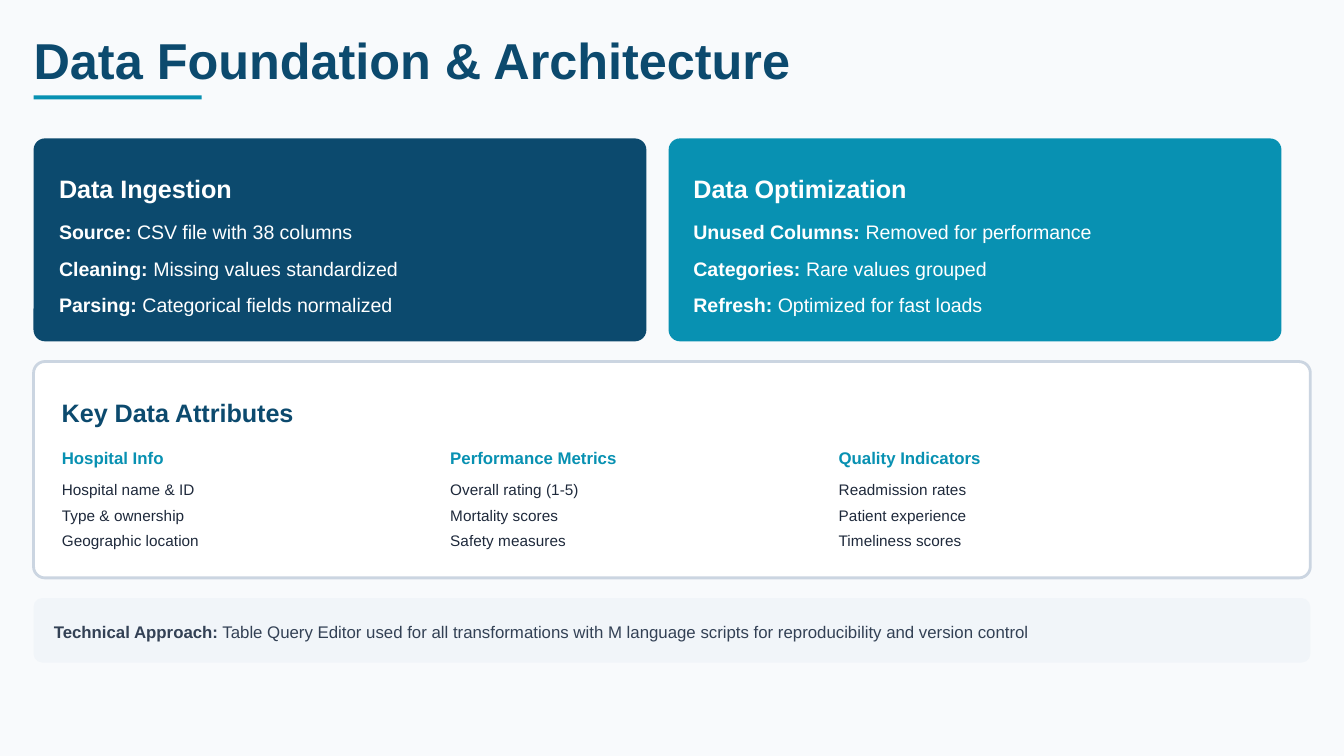
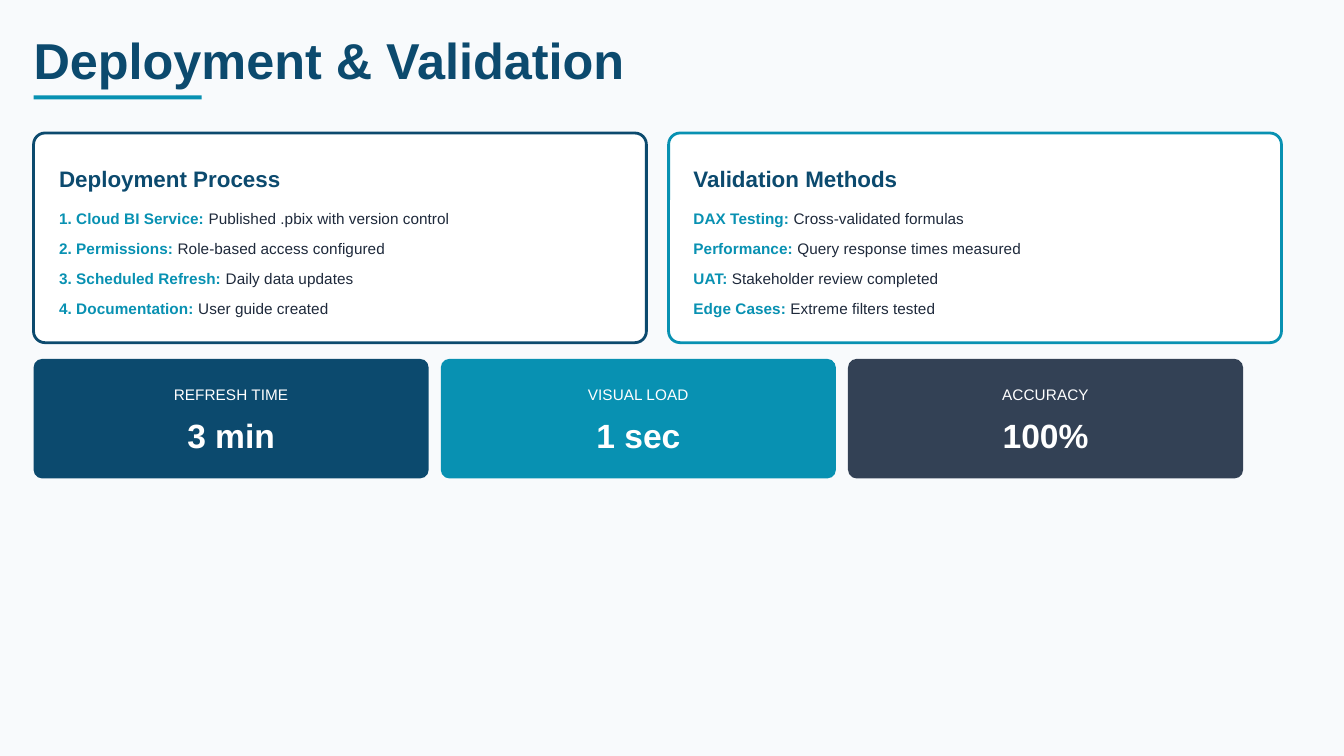
from pptx import Presentation, util as u
from pptx.dml.color import RGBColor
from pptx.enum import shapes, text

# Shared style: 200 px to the inch
SCALE = 914400 // 200
FONT = "Arial"
PAPER = RGBColor(0xF8, 0xFA, 0xFC)
WHITE = RGBColor(0xFF, 0xFF, 0xFF)
NAVY = RGBColor(0x0C, 0x4A, 0x6E)
TEAL = RGBColor(0x08, 0x91, 0xB2)
SLATE = RGBColor(0x33, 0x41, 0x55)
INK = RGBColor(0x1E, 0x29, 0x3B)
MIST = RGBColor(0xF1, 0xF5, 0xF9)
BORDER = RGBColor(0xCB, 0xD5, 0xE1)

MARGIN = 50
CARD_WIDTH, CARD_STEP, CARD_PADDING = 912, 945, 38
SMALL = 8.25


def px(value):
    return u.Emu(value * SCALE)


def add_run(paragraph, content, *, size, color, bold=False):
    run = paragraph.add_run()
    run.text = content
    run.font.name = FONT
    run.font.size = u.Pt(size)
    run.font.bold = bold
    run.font.color.rgb = color


class Deck:
    def __init__(self):
        self.presentation = Presentation()
        self.presentation.slide_width = px(2000)
        self.presentation.slide_height = px(1125)
        self.slide = None

    def new_slide(self, title, title_width):
        self.slide = self.presentation.slides.add_slide(self.presentation.slide_layouts[6])
        self.slide.background.fill.solid()
        self.slide.background.fill.fore_color.rgb = PAPER
        self.label(title, MARGIN, 50, title_width, 84, size=27, color=NAVY, bold=True, leading=30)
        self.box(MARGIN, 142, 250, 6, TEAL)

    def box(self, left, top, width, height, fill, radius=0, line=None):
        kind = shapes.MSO_SHAPE.ROUNDED_RECTANGLE if radius else shapes.MSO_SHAPE.RECTANGLE
        shape = self.slide.shapes.add_shape(kind, px(left), px(top), px(width), px(height))
        if radius:
            shape.adjustments[0] = radius / min(width, height)
        shape.shadow.inherit = False
        shape.fill.solid()
        shape.fill.fore_color.rgb = fill
        if line is None:
            shape.line.fill.background()
        else:
            shape.line.color.rgb = line
            shape.line.width = u.Pt(1.5)

    def label(self, content, left, top, width, height, *, size, color, bold=False,
              lead="", lead_color=None, leading=None, align=text.PP_ALIGN.LEFT):
        """Place one line of text, optionally opened by a bold lead."""
        frame = self.slide.shapes.add_textbox(px(left), px(top), px(width), px(height)).text_frame
        frame.word_wrap = True
        frame.margin_left = frame.margin_top = frame.margin_right = frame.margin_bottom = 0
        paragraph = frame.paragraphs[0]
        paragraph.alignment = align
        paragraph.line_spacing = u.Pt(leading or size * 1.4)
        if lead:
            add_run(paragraph, lead, size=size, color=lead_color or color, bold=True)
            content = " " + content
        add_run(paragraph, content, size=size, color=color, bold=bold)

    def card(self, column, top, height, heading, rows, *, fill, line=None, heading_size,
             heading_color, rows_offset, row_step, size, color, lead_color):
        """Draw a card with a heading and rows of (lead, text)."""
        left = MARGIN + column * CARD_STEP
        self.box(left, top, CARD_WIDTH, height, fill, radius=17, line=line)
        left += CARD_PADDING - column
        self.label(heading, left, top + 38, 854, 56, size=heading_size, color=heading_color,
                   bold=True, leading=heading_size * 1.5 if line else 21)
        for index, (lead, content) in enumerate(rows):
            self.label(content, left, top + rows_offset + index * row_step, 854, 40,
                       size=size, color=color, lead=lead, lead_color=lead_color)

    def attribute_list(self, left, heading, items):
        self.label(heading, left, 662, 556, 34, size=9, color=TEAL, bold=True)
        for index, item in enumerate(items):
            self.label(item, left, 710 + index * 38, 556, 32, size=SMALL, color=INK)

    def metric(self, column, name, value, fill):
        left = MARGIN + column * 606
        self.box(left, 534, 588, 178, fill, radius=13)
        for content, top, height, size, bold in ((name, 568, 32, SMALL, False),
                                                 (value, 608, 70, 18, True)):
            self.label(content, left + 28, top, 532, height, size=size, color=WHITE,
                       bold=bold, align=text.PP_ALIGN.CENTER)


def build_foundation(deck):
    deck.new_slide("Data Foundation & Architecture", 1150)

    # Ingestion and optimization cards
    cards = (
        ("Data Ingestion", NAVY, (
            ("Source:", "CSV file with 38 columns"),
            ("Cleaning:", "Missing values standardized"),
            ("Parsing:", "Categorical fields normalized"))),
        ("Data Optimization", TEAL, (
            ("Unused Columns:", "Removed for performance"),
            ("Categories:", "Rare values grouped"),
            ("Refresh:", "Optimized for fast loads"))),
    )
    for column, (heading, fill, rows) in enumerate(cards):
        deck.card(column, 206, 302, heading, rows, fill=fill, heading_size=13.5,
                  heading_color=WHITE, rows_offset=116, row_step=54, size=10.5,
                  color=WHITE, lead_color=WHITE)

    # Key attributes
    deck.box(MARGIN, 538, 1900, 322, WHITE, radius=17, line=BORDER)
    deck.label("Key Data Attributes", 92, 578, 1854, 58, size=13.5, color=NAVY,
               bold=True, leading=21)
    attributes = (
        ("Hospital Info", ("Hospital name & ID", "Type & ownership", "Geographic location")),
        ("Performance Metrics", ("Overall rating (1-5)", "Mortality scores", "Safety measures")),
        ("Quality Indicators", ("Readmission rates", "Patient experience", "Timeliness scores")),
    )
    for column, (heading, items) in enumerate(attributes):
        deck.attribute_list(92 + column * 578, heading, items)

    # Technical approach strip
    deck.box(MARGIN, 890, 1900, 96, MIST, radius=13)
    deck.label("Table Query Editor used for all transformations with M language scripts "
               "for reproducibility and version control", 80, 918, 1878, 38, size=9,
               color=SLATE, lead="Technical Approach:", leading=13.5)


def build_deployment(deck):
    deck.new_slide("Deployment & Validation", 972)

    # Process and validation cards
    cards = (
        ("Deployment Process", NAVY, (
            ("1. Cloud BI Service:", "Published .pbix with version control"),
            ("2. Permissions:", "Role-based access configured"),
            ("3. Scheduled Refresh:", "Daily data updates"),
            ("4. Documentation:", "User guide created"))),
        ("Validation Methods", TEAL, (
            ("DAX Testing:", "Cross-validated formulas"),
            ("Performance:", "Query response times measured"),
            ("UAT:", "Stakeholder review completed"),
            ("Edge Cases:", "Extreme filters tested"))),
    )
    for column, (heading, line, rows) in enumerate(cards):
        deck.card(column, 198, 312, heading, rows, fill=WHITE, line=line, heading_size=12,
                  heading_color=NAVY, rows_offset=108, row_step=45, size=SMALL,
                  color=INK, lead_color=TEAL)

    # Metrics
    metrics = (("REFRESH TIME", "3 min", NAVY), ("VISUAL LOAD", "1 sec", TEAL),
               ("ACCURACY", "100%", SLATE))
    for column, (name, value, fill) in enumerate(metrics):
        deck.metric(column, name, value, fill)


def main():
    deck = Deck()
    build_foundation(deck)
    build_deployment(deck)
    deck.presentation.save("out.pptx")


if __name__ == "__main__":
    main()
